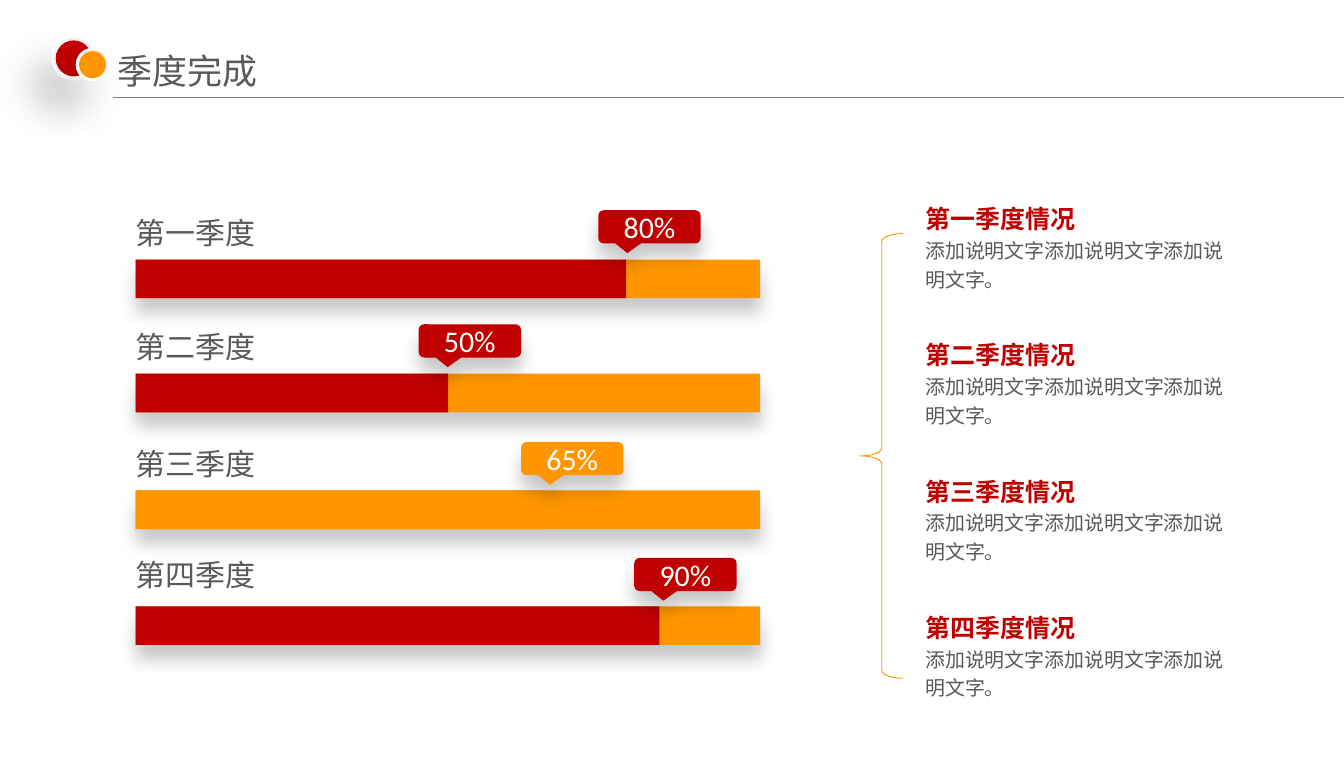
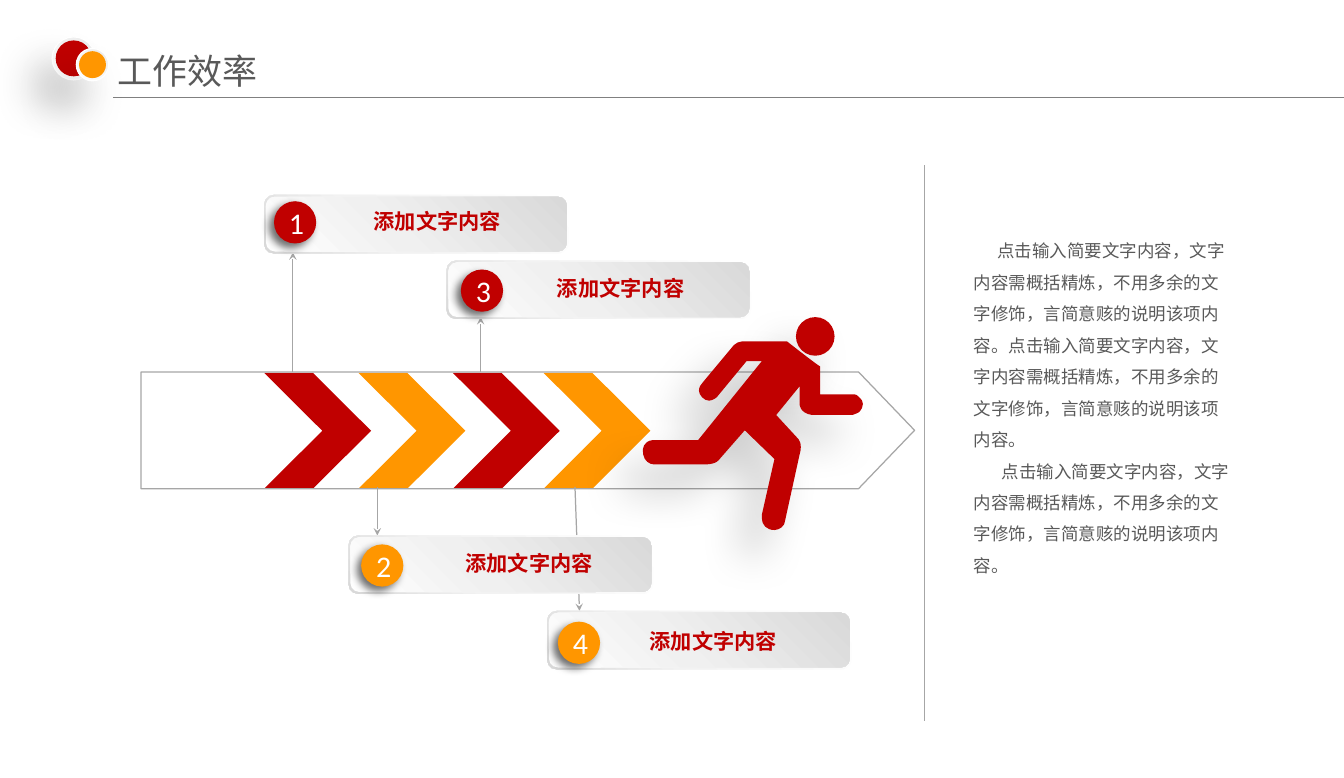
from dataclasses import dataclass
from typing import Any, Optional

import pptx
import pptx.dml.color
import pptx.enum.shapes
import pptx.enum.text
import pptx.oxml
import pptx.oxml.ns
import pptx.util
from lxml import etree

Inches = pptx.util.Inches
Pt = pptx.util.Pt
RGBColor = pptx.dml.color.RGBColor
Preset = pptx.enum.shapes.MSO_SHAPE
Align = pptx.enum.text.PP_ALIGN
qn = pptx.oxml.ns.qn

# Shared colours and fonts
RED = RGBColor(0xC0, 0x00, 0x00)
ORANGE = RGBColor(0xFF, 0x96, 0x00)
WHITE = RGBColor(0xFF, 0xFF, 0xFF)
TEXT_GREY = RGBColor(0x59, 0x59, 0x59)
RULE_GREY = RGBColor(0x80, 0x80, 0x80)
LINE_GREY = RGBColor(0xA6, 0xA6, 0xA6)
CJK_FONT = "Noto Sans CJK SC"
PAGE_WIDTH, PAGE_HEIGHT = 14.96, 8.66


@dataclass(frozen=True)
class Shadow:
    alpha: int
    blur: float
    distance: float
    angle: int


@dataclass(frozen=True)
class Gradient:
    stops: tuple[tuple[int, str], ...]
    angle: int


@dataclass(frozen=True)
class TextStyle:
    size: float
    color: RGBColor = TEXT_GREY
    bold: bool = False
    name: str = CJK_FONT


@dataclass(frozen=True)
class TextLine:
    text: str
    style: TextStyle
    align: Align = Align.LEFT
    spacing: float = 1.0
    indent: float = 0


DOT_SHADOW = Shadow(20, 34, 27, 130)
BAR_SHADOW = Shadow(22, 14, 11, 90)
NUMBER_SHADOW = Shadow(57, 7, 5, 135)
RING_FILL = Gradient(((0, "EBEBEB"), (100, "FEFEFE")), 126)
CARD_EDGE = Gradient(((0, "FFFFFF"), (62, "F2F2F2"), (100, "D9D9D9")), 135)
CARD_FACE = Gradient(((0, "FFFFFF"), (42, "F0F0F0"), (100, "D9D9D9")), 315)

TITLE = TextStyle(28)
LABEL = TextStyle(24)
NUMBER = TextStyle(24, WHITE, name="Calibri")
HEADING = TextStyle(20, RED, bold=True)
DETAIL = TextStyle(16)
CAPTION = TextStyle(17, RED, bold=True)
BODY = TextStyle(14)


# Drawing helpers
def paint(shape: Any, fill: Any = None, line: Optional[RGBColor] = None,
          weight: float = 1, shadow: Optional[Shadow] = None) -> None:
    if isinstance(fill, RGBColor):
        shape.fill.solid()
        shape.fill.fore_color.rgb = fill
    else:
        shape.fill.background()
    if isinstance(fill, Gradient):
        stops = "".join(f'<a:gs pos="{pos * 1000}"><a:srgbClr val="{color}"/></a:gs>'
                        for pos, color in fill.stops)
        properties = shape._element.spPr
        properties.replace(properties.find(qn("a:noFill")), pptx.oxml.parse_xml(
            f'<a:gradFill {pptx.oxml.ns.nsdecls("a")} rotWithShape="1"><a:gsLst>{stops}'
            f'</a:gsLst><a:lin ang="{fill.angle * 60000}" scaled="0"/></a:gradFill>'))
    if line is None:
        shape.line.fill.background()
    else:
        shape.line.color.rgb = line
        shape.line.width = Pt(weight)
    shape.shadow.inherit = False
    if shadow:
        effects = shape._element.spPr.find(qn("a:effectLst"))
        outer = etree.SubElement(effects, qn("a:outerShdw"), {
            "blurRad": str(Pt(shadow.blur)), "dist": str(Pt(shadow.distance)),
            "dir": str(shadow.angle * 60000), "algn": "ctr", "rotWithShape": "0"})
        color = etree.SubElement(outer, qn("a:srgbClr"), val="000000")
        etree.SubElement(color, qn("a:alpha"), val=str(shadow.alpha * 1000))


def add_preset(shapes: Any, preset: Preset, left: float, top: float, width: float,
               height: float, adjust: tuple[float, ...] = (), **look: Any) -> Any:
    shape = shapes.add_shape(preset, Inches(left), Inches(top), Inches(width), Inches(height))
    for index, value in enumerate(adjust):
        shape.adjustments[index] = value
    paint(shape, **look)
    return shape


def add_line(shapes: Any, start: tuple[float, float], end: tuple[float, float],
             color: RGBColor, weight: float = 1, arrow: bool = False) -> None:
    line = shapes.add_connector(pptx.enum.shapes.MSO_CONNECTOR.STRAIGHT,
                                *map(Inches, start + end))
    line.line.color.rgb = color
    line.line.width = Pt(weight)
    if arrow:
        etree.SubElement(line.line._get_or_add_ln(), qn("a:headEnd"), type="stealth")
    etree.SubElement(line._element.spPr, qn("a:effectLst"))


def write_text(shape: Any, lines: list[TextLine], inset: tuple[float, float] = (0.1, 0.05),
               middle: bool = False, grow: bool = False) -> None:
    anchors, sizing = pptx.enum.text.MSO_ANCHOR, pptx.enum.text.MSO_AUTO_SIZE
    side, edge = map(Inches, inset)
    frame = shape.text_frame
    frame_format = {
        "word_wrap": True, "margin_left": side, "margin_right": side,
        "margin_top": edge, "margin_bottom": edge,
        "vertical_anchor": anchors.MIDDLE if middle else anchors.TOP,
        "auto_size": sizing.SHAPE_TO_FIT_TEXT if grow else sizing.NONE}
    for name, value in frame_format.items():
        setattr(frame, name, value)
    for index, line in enumerate(lines):
        para = frame.add_paragraph() if index else frame.paragraphs[0]
        para.alignment = line.align
        para.line_spacing = line.spacing
        if line.indent:
            para._p.get_or_add_pPr().set("indent", str(Inches(line.indent)))
        span = para.add_run()
        span.text = line.text
        style = line.style
        for name, value in {"size": Pt(style.size), "bold": style.bold,
                            "name": style.name}.items():
            setattr(span.font, name, value)
        span.font.color.rgb = style.color
        etree.SubElement(span._r.get_or_add_rPr(), qn("a:ea"), typeface=style.name)


def add_text(shapes: Any, left: float, top: float, width: float, height: float,
             lines: list[TextLine], **frame: Any) -> None:
    box = shapes.add_textbox(Inches(left), Inches(top), Inches(width), Inches(height))
    write_text(box, lines, **frame)


def add_page(deck: Any, title: str) -> Any:
    """Add a page with the rule, the two ringed dots and the title."""
    shapes = deck.slides.add_slide(deck.slide_layouts[6]).shapes
    add_line(shapes, (1.26, 1.09), (PAGE_WIDTH, 1.09), RULE_GREY, 0.75)
    for left, top, size, rim, color in ((0.58, 0.41, 0.48, 0.04, RED),
                                        (0.85, 0.54, 0.36, 0.03, ORANGE)):
        dot = shapes.add_group_shape().shapes
        add_preset(dot, Preset.OVAL, left, top, size, size,
                   fill=RING_FILL, line=WHITE, shadow=DOT_SHADOW)
        core = size - 2 * rim
        add_preset(dot, Preset.OVAL, left + rim, top + rim, core, core, fill=color)
    add_text(shapes, 1.17, 0.47, 5.2, 0.63, [TextLine(title, TITLE)],
             inset=(0.14, 0.07), middle=True)
    return shapes


# Quarter progress
@dataclass(frozen=True)
class Quarter:
    name: str
    percent: str
    bar_top: float
    done_width: float
    callout_left: float
    color: RGBColor = RED
    label_rise: float = 0.55
    callout_rise: float = 0.55


QUARTERS = (
    Quarter("第一季度", "80%", 2.89, 5.46, 6.66),
    Quarter("第二季度", "50%", 4.16, 3.48, 4.66),
    Quarter("第三季度", "65%", 5.46, 4.57, 5.8, ORANGE, callout_rise=0.54),
    Quarter("第四季度", "90%", 6.75, 5.83, 7.06, label_rise=0.6, callout_rise=0.54),
)


def draw_quarters(deck: Any) -> None:
    shapes = add_page(deck, "季度完成")
    bar_left, bar_width, bar_height = 1.51, 6.95, 0.43
    for quarter in QUARTERS:
        bar = shapes.add_group_shape().shapes
        add_preset(bar, Preset.RECTANGLE, bar_left, quarter.bar_top, bar_width, bar_height,
                   fill=ORANGE, shadow=BAR_SHADOW)
        add_preset(bar, Preset.RECTANGLE, bar_left, quarter.bar_top, quarter.done_width,
                   bar_height, fill=quarter.color)
        add_text(shapes, 1.41, quarter.bar_top - quarter.label_rise, 1.9, 0.5,
                 [TextLine(quarter.name, LABEL)], grow=True)
    for quarter in QUARTERS:
        callout = add_preset(shapes, Preset.ROUNDED_RECTANGULAR_CALLOUT, quarter.callout_left,
                             quarter.bar_top - quarter.callout_rise, 1.14, 0.37,
                             (-0.216, 0.79, 0.167), fill=quarter.color, shadow=BAR_SHADOW)
        write_text(callout, [TextLine(quarter.percent, NUMBER, Align.CENTER)], middle=True)

    # Brace and notes
    add_preset(shapes, Preset.LEFT_BRACE, 9.58, 2.6, 0.47, 4.95, (0.19, 0.5),
               line=ORANGE, weight=0.75)
    first_top, last_top = 2.13, 6.68
    pitch = (last_top - first_top) / (len(QUARTERS) - 1)
    for index, quarter in enumerate(QUARTERS):
        add_text(shapes, 10.15, first_top + index * pitch, 3.77, 1.35, [
            TextLine(quarter.name + "情况", HEADING, spacing=1.2),
            TextLine("添加说明文字" * 3 + "。", DETAIL, spacing=1.2)], inset=(0.15, 0.07))


# Work efficiency
@dataclass(frozen=True)
class Stage:
    chevron_left: float
    color: RGBColor
    arrow: tuple[tuple[float, float], tuple[float, float]]
    card: tuple[float, float]
    dot: tuple[float, float]
    caption: tuple[float, float]  # centre and top


STAGES = (
    Stage(2.94, RED, ((3.26, 2.81), (3.26, 4.14)), (2.94, 2.17), (3.05, 2.24), (4.87, 2.32)),
    Stage(3.99, ORANGE, ((4.2, 5.96), (4.2, 5.42)), (3.88, 5.96), (4.02, 6.06), (5.89, 6.13)),
    Stage(5.04, RED, ((5.35, 3.53), (5.35, 4.14)), (4.97, 2.9), (5.13, 3.0), (6.91, 3.06)),
    Stage(6.05, ORANGE, ((6.45, 6.8), (6.4, 5.42)), (6.09, 6.8), (6.21, 6.92), (7.94, 6.99)),
)

# Runner outline: two numbers end a straight side, six give a cubic curve
RUNNER = (
    (7.26, 4.9), (7.77, 4.9), (8.48, 4.02), (8.31, 4.02), (7.98, 4.42),
    (7.96, 4.44, 7.92, 4.46, 7.89, 4.46), (7.84, 4.46, 7.78, 4.4, 7.78, 4.35),
    (7.78, 4.31, 7.8, 4.28, 7.82, 4.26), (8.17, 3.84),
    (8.2, 3.82, 8.22, 3.8, 8.26, 3.8), (8.76, 3.8), (8.76, 3.8, 9.09, 4.06, 9.13, 4.08),
    (9.13, 4.39), (9.49, 4.39), (9.53, 4.39, 9.55, 4.4, 9.56, 4.42),
    (9.62, 4.46, 9.62, 4.53, 9.56, 4.59), (9.55, 4.6, 9.53, 4.6, 9.49, 4.62),
    (9.04, 4.62), (8.9, 4.6, 8.9, 4.5, 8.9, 4.5), (8.9, 4.3), (8.64, 4.62), (8.88, 4.88),
    (8.88, 4.88, 8.94, 4.93, 8.9, 5.06), (8.74, 5.79), (8.74, 5.86, 8.67, 5.9, 8.62, 5.9),
    (8.53, 5.9, 8.48, 5.84, 8.48, 5.77), (8.48, 5.73), (8.62, 5.11), (8.29, 4.79),
    (8.01, 5.11), (8.01, 5.11, 7.98, 5.17, 7.85, 5.17), (7.28, 5.17),
    (7.23, 5.17, 7.17, 5.13, 7.16, 5.06), (7.14, 4.99, 7.17, 4.91, 7.26, 4.9),
)


def add_outline(shapes: Any, outline: tuple[tuple[float, ...], ...], **look: Any) -> None:
    """Lay every point as a side, then join each curve's three points into one cubic."""
    points = [(Inches(piece[i]), Inches(piece[i + 1]))
              for piece in outline for i in range(0, len(piece), 2)]
    builder = shapes.build_freeform(*points[0])
    builder.add_line_segments(points[1:], close=True)
    shape = builder.convert_to_shape()
    sides = iter(list(shape._element.iter(qn("a:lnTo"))))
    for piece in outline[1:]:
        first = next(sides)
        if len(piece) == 6:
            curve = etree.Element(qn("a:cubicBezTo"))
            first.addprevious(curve)
            for side in (first, next(sides), next(sides)):
                curve.append(side[0])
                side.getparent().remove(side)
    paint(shape, **look)


def draw_efficiency(deck: Any) -> None:
    shapes = add_page(deck, "工作效率")
    for stage in STAGES:
        add_preset(shapes, Preset.CHEVRON, stage.chevron_left, 4.15, 1.19, 1.29, (0.544,),
                   fill=stage.color)
        add_line(shapes, *stage.arrow, LINE_GREY, arrow=True)
    add_line(shapes, (10.29, 1.84), (10.29, 8.03), LINE_GREY)
    add_preset(shapes, Preset.PENTAGON, 1.57, 4.14, 8.61, 1.3, (0.48,), line=LINE_GREY)

    # Explanation
    sentence = "点击输入简要文字内容，文字内容需概括精炼，不用多余的文字修饰，言简意赅的说明该项内容。"
    add_text(shapes, 10.71, 2.49, 3.15, 4.02, [
        TextLine(sentence * 2, BODY, spacing=1.5, indent=0.26),
        TextLine(sentence, BODY, spacing=1.5, indent=0.31)], inset=(0.13, 0.07), grow=True)

    # Numbered cards
    for number, stage in enumerate(STAGES, 1):
        card = shapes.add_group_shape().shapes
        left, top = stage.card
        add_preset(card, Preset.ROUNDED_RECTANGLE, left, top, 3.39, 0.65, fill=CARD_EDGE)
        add_preset(card, Preset.ROUNDED_RECTANGLE, left + 0.02, top + 0.02, 3.35, 0.61,
                   fill=CARD_FACE)
        dot = add_preset(card, Preset.OVAL, *stage.dot, 0.47, 0.47, fill=stage.color,
                         shadow=NUMBER_SHADOW)
        write_text(dot, [TextLine(str(number), NUMBER, Align.CENTER)], middle=True)
        centre, caption_top = stage.caption
        add_text(card, centre - 1.4, caption_top, 2.8, 0.29,
                 [TextLine("添加文字内容", CAPTION, Align.CENTER)], inset=(0, 0), grow=True)

    # Runner
    runner = shapes.add_group_shape().shapes
    add_preset(runner, Preset.OVAL, 8.86, 3.53, 0.43, 0.43, fill=RED, shadow=DOT_SHADOW)
    add_outline(runner, RUNNER, fill=RED, shadow=DOT_SHADOW)


def main() -> None:
    deck = pptx.Presentation()
    deck.slide_width, deck.slide_height = Inches(PAGE_WIDTH), Inches(PAGE_HEIGHT)
    draw_quarters(deck)
    draw_efficiency(deck)
    deck.save("out.pptx")


if __name__ == "__main__":
    main()
